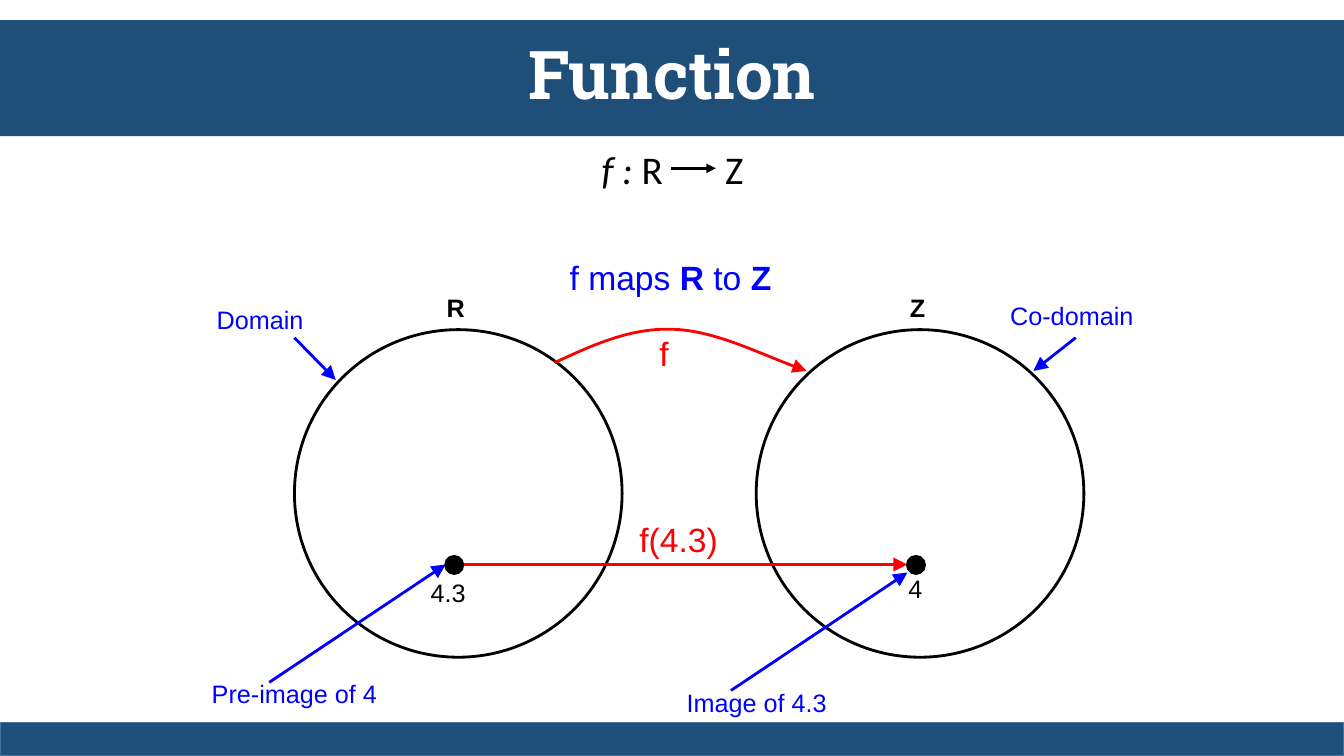
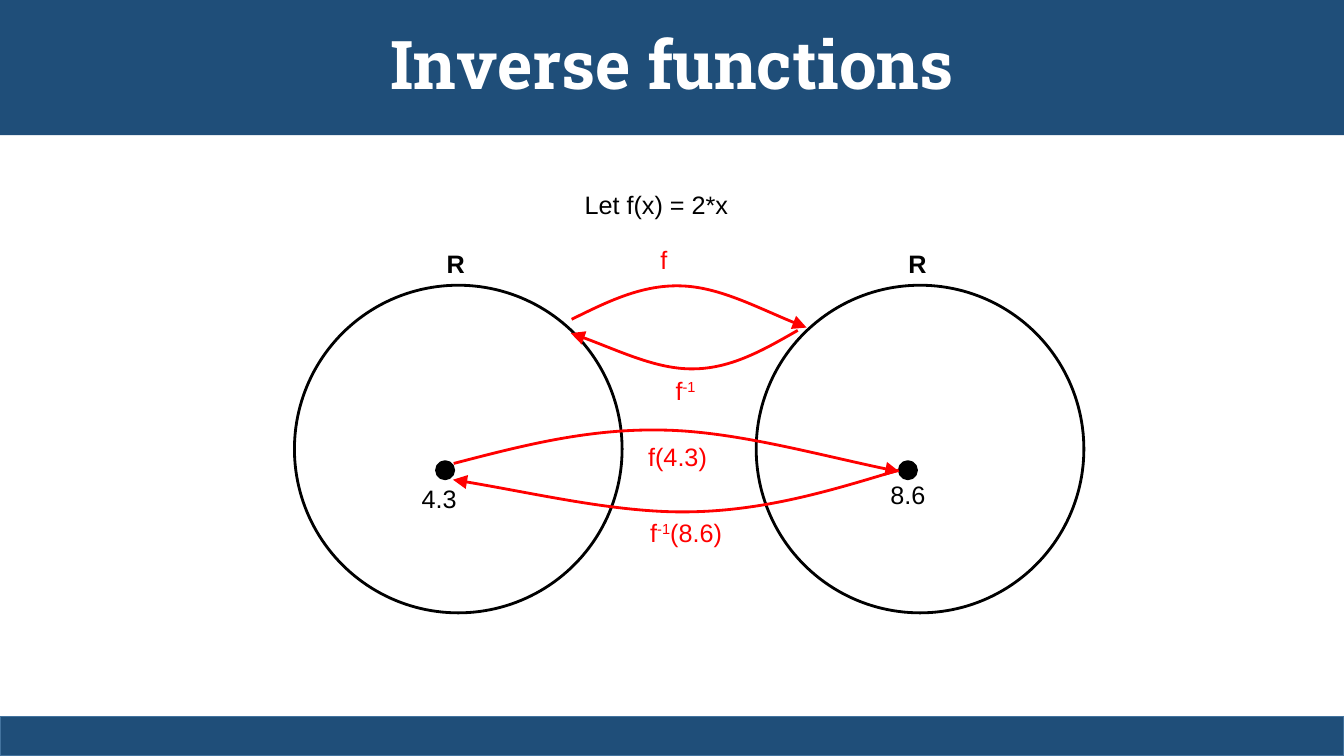
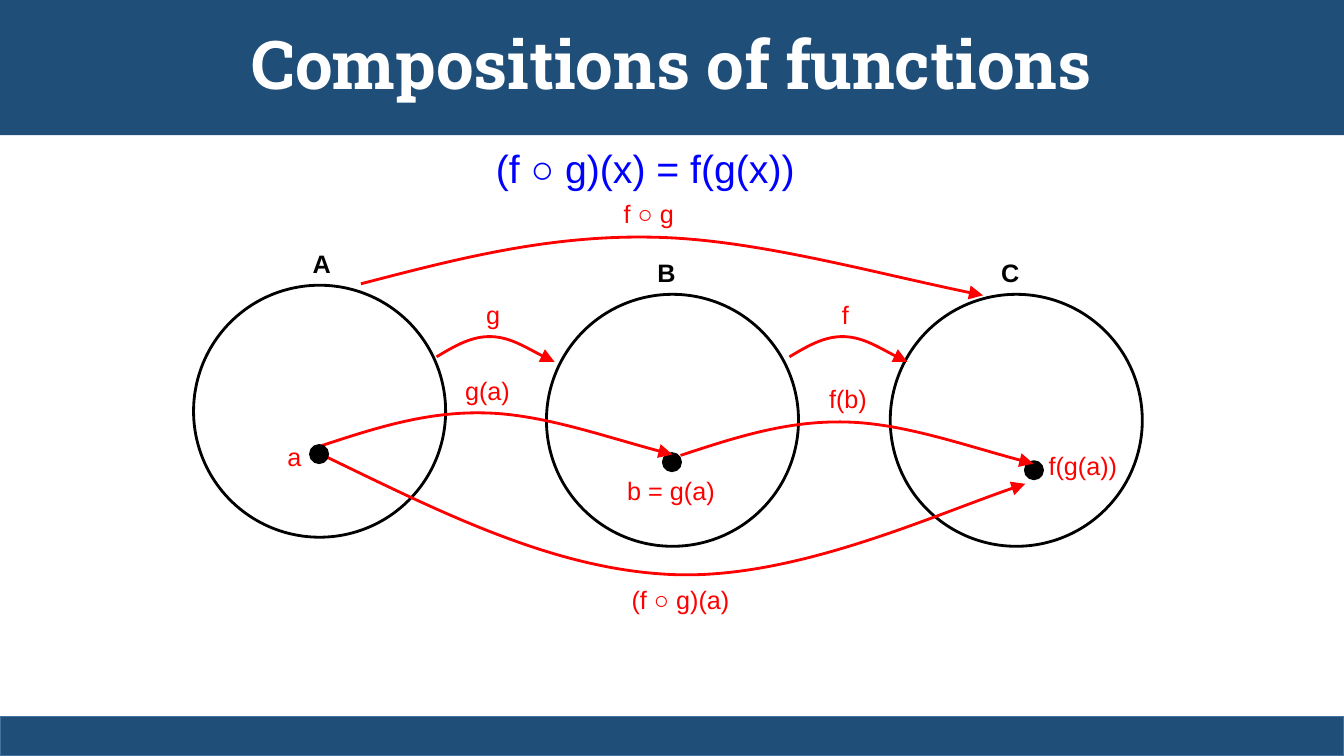
from dataclasses import dataclass

from lxml.etree import SubElement
from pptx import Presentation
from pptx.dml.color import RGBColor
from pptx.enum.shapes import MSO_CONNECTOR, MSO_SHAPE
from pptx.enum.text import MSO_ANCHOR, MSO_AUTO_SIZE, PP_ALIGN
from pptx.oxml.ns import qn
from pptx.util import Inches, Pt


@dataclass(frozen=True)
class Theme:
    band: RGBColor = RGBColor(0x1F, 0x4E, 0x79)
    band_edge: RGBColor = RGBColor(0x43, 0x73, 0x9E)
    white: RGBColor = RGBColor(0xFF, 0xFF, 0xFF)
    ink: RGBColor = RGBColor(0x00, 0x00, 0x00)
    mapping: RGBColor = RGBColor(0xFF, 0x00, 0x00)
    note: RGBColor = RGBColor(0x00, 0x00, 0xFF)
    title_font: str = "Roboto Slab"
    body_font: str = "Calibri"
    label_font: str = "Arial"
    title_size: int = 48
    formula_size: int = 28
    large_size: int = 24
    label_size: int = 18
    stroke: float = 2


THEME = Theme()
SLIDE_WIDTH, SLIDE_HEIGHT = 13.33, 7.5
DOT_SIZE = 0.17
TITLE_ONLY, TITLE_AND_BODY = 5, 1

# Curves as fractions of their box: a start, then two cubic segments.
ARC = [(0, 0.81), (0.15, 0.41), (0.3, 0), (0.47, 0.04),
       (0.63, 0.07), (0.83, 0.65), (1, 1)]
SWOOP = [(0, 0), (0.17, 0.46), (0.33, 0.92), (0.5, 0.96),
         (0.67, 1), (0.88, 0.46), (1, 0.24)]


def set_font(font, name, size, color, bold=False):
    font.name = name
    font.size = Pt(size)
    font.color.rgb = color
    font.bold = bold


def set_stroke(shape, color, width=THEME.stroke, head=None):
    """The head, if any, is the arrowhead size: med or lg."""
    shape.line.color.rgb = color
    shape.line.width = Pt(width)
    if head:
        outline = shape._element.spPr.find(qn("a:ln"))
        SubElement(outline, qn("a:tailEnd"), type="triangle", w=head, len=head)


def place(shape, left, top, width, height):
    shape.left, shape.top = Inches(left), Inches(top)
    shape.width, shape.height = Inches(width), Inches(height)


def add_arrow(slide, start, end, color, width=THEME.stroke, head="lg"):
    arrow = slide.shapes.add_connector(
        MSO_CONNECTOR.STRAIGHT, *(Inches(value) for value in (*start, *end)))
    set_stroke(arrow, color, width, head)
    SubElement(arrow._element.spPr, qn("a:effectLst"))


class Diagram:
    """Draws sets and mappings at offsets from its top left corner."""

    def __init__(self, slide, left, top):
        self.slide, self.left, self.top = slide, left, top

    def at(self, x, y):
        return self.left + x, self.top + y

    def ellipse(self, x, y, size):
        left, top = self.at(x, y)
        shape = self.slide.shapes.add_shape(
            MSO_SHAPE.OVAL, Inches(left), Inches(top), Inches(size), Inches(size))
        shape.shadow.inherit = False
        set_stroke(shape, THEME.ink)
        return shape

    def named_set(self, name, x, y, size, name_x):
        self.ellipse(x, y, size).fill.background()
        self.label([(name, "bold")], x + name_x, y - 0.42, 0.38, THEME.ink)

    def dot(self, x, y):
        fill = self.ellipse(x, y, DOT_SIZE).fill
        fill.solid()
        fill.fore_color.rgb = THEME.ink

    def label(self, text, x, y, width, color=THEME.mapping, size=THEME.label_size):
        """Text is a string or a list of (text, style) runs."""
        left, top = self.at(x, y)
        box = self.slide.shapes.add_textbox(
            Inches(left), Inches(top), Inches(width), Inches(size / 60 + 0.1))
        frame = box.text_frame
        frame.word_wrap = False
        frame.auto_size = MSO_AUTO_SIZE.SHAPE_TO_FIT_TEXT
        paragraph = frame.paragraphs[0]
        paragraph.alignment = PP_ALIGN.CENTER
        for part, style in [(text, "plain")] if isinstance(text, str) else text:
            run = paragraph.add_run()
            run.text = part
            set_font(run.font, THEME.label_font, size, color, style == "bold")
            if style == "super":
                run.font._element.set("baseline", "30000")

    def arrow(self, start, end, color):
        add_arrow(self.slide, self.at(*start), self.at(*end), color)

    def curve(self, x, y, width, height, outline=ARC, rotation=0):
        left, top = self.at(x, y)
        start, *others = [(Inches(left + u * width), Inches(top + v * height))
                          for u, v in outline]
        builder = self.slide.shapes.build_freeform(*start)
        builder.add_line_segments(others, close=False)
        shape = builder.convert_to_shape()
        make_cubic(shape)
        shape.rotation = rotation
        shape.shadow.inherit = False
        shape.fill.background()
        set_stroke(shape, THEME.mapping, head="lg")


def make_cubic(shape):
    """Turns each three straight segments into one cubic segment."""
    outline = next(shape._element.iter(qn("a:path")))
    segments = outline.findall(qn("a:lnTo"))
    for first in range(0, len(segments), 3):
        cubic = SubElement(outline, qn("a:cubicBezTo"))
        for segment in segments[first:first + 3]:
            cubic.append(segment[0])
            outline.remove(segment)


def add_framed_slide(deck, title, layout=TITLE_ONLY, band=(0, 1.34), footer_top=7.11):
    slide = deck.slides.add_slide(deck.slide_layouts[layout])
    heading = slide.shapes.title
    place(heading, 0, band[0], SLIDE_WIDTH, band[1])
    heading.fill.solid()
    heading.fill.fore_color.rgb = THEME.band
    frame = heading.text_frame
    frame.text = title
    frame.auto_size = MSO_AUTO_SIZE.NONE
    frame.vertical_anchor = MSO_ANCHOR.MIDDLE
    paragraph = frame.paragraphs[0]
    paragraph.alignment = PP_ALIGN.CENTER
    paragraph.line_spacing = 0.9
    set_font(paragraph.runs[0].font, THEME.title_font, THEME.title_size,
             THEME.white, bold=True)

    footer = slide.shapes.add_shape(
        MSO_SHAPE.RECTANGLE, 0, Inches(footer_top), Inches(SLIDE_WIDTH),
        Inches(SLIDE_HEIGHT - footer_top))
    footer.shadow.inherit = False
    footer.fill.solid()
    footer.fill.fore_color.rgb = THEME.band
    set_stroke(footer, THEME.band_edge, 1)
    return slide


def add_signature(slide, left, top, width, height):
    """Writes f : R and Z in the body, with an arrow in the gap between them."""
    body = slide.placeholders[1]
    place(body, left, top, width, height)
    frame = body.text_frame
    frame.auto_size = MSO_AUTO_SIZE.NONE
    frame.vertical_anchor = MSO_ANCHOR.TOP
    paragraph = frame.paragraphs[0]
    properties = paragraph._p.get_or_add_pPr()
    properties.set("marL", "0")
    properties.set("indent", "0")
    SubElement(properties, qn("a:buNone"))
    paragraph.alignment = PP_ALIGN.CENTER
    paragraph.line_spacing = 0.9
    paragraph.space_before = Pt(0)
    for text, italic, tracking in (("f : ", True, 0), ("R", False, 0),
                                   (" ", False, 38), ("Z", False, 0)):
        run = paragraph.add_run()
        run.text = text
        set_font(run.font, THEME.body_font, THEME.formula_size, THEME.ink)
        run.font.italic = italic
        if tracking:
            run.font._element.set("spc", str(tracking * 100))
    middle = left + width / 2
    add_arrow(slide, (middle - 0.01, top + 0.23), (middle + 0.43, top + 0.23),
              THEME.ink, 2.25, "med")


def add_two_sets(diagram, domain, codomain):
    for name, x in ((domain, 0), (codomain, 4.58)):
        diagram.named_set(name, x, 0, 3.25, 1.41)


def draw_function(diagram):
    add_two_sets(diagram, "R", "Z")
    diagram.curve(2.58, -0.02, 2.5, 0.43)
    diagram.arrow((1.66, 2.33), (6.08, 2.33), THEME.mapping)
    for x in (1.5, 6.08):
        diagram.dot(x, 2.25)
    diagram.label("4.3", 1.25, 2.41, 0.55, THEME.ink)
    diagram.label("4", 5.99, 2.37, 0.34, THEME.ink)
    for text, x, y, width, start, end in (
            ("Domain", -0.87, -0.3, 1.06, (0, 0.08), (0.41, 0.5)),
            ("Co-domain", 7, -0.34, 1.42, (7.75, 0.08), (7.33, 0.41)),
            ("Pre-image of 4", -0.92, 3.41, 1.84, (-0.25, 3.5), (1.5, 2.33)),
            ("Image of 4.3", 3.79, 3.5, 1.59, (4.33, 3.58), (6.08, 2.41))):
        diagram.arrow(start, end, THEME.note)
        diagram.label(text, x, y, width, THEME.note)
    diagram.label([("f maps ", "plain"), ("R", "bold"), (" to ", "plain"), ("Z", "bold")],
                  2.63, -0.77, 2.2, THEME.note, THEME.large_size)
    diagram.label("f", 3.52, -0.02, 0.29, size=THEME.large_size)
    diagram.label("f(4.3)", 3.32, 1.83, 0.98, size=THEME.large_size)


def draw_inverse(diagram):
    add_two_sets(diagram, "R", "R")
    for x in (1.41, 6):
        diagram.dot(x, 1.75)
    diagram.label("4.3", 1.16, 1.92, 0.55, THEME.ink)
    diagram.label("8.6", 5.81, 1.88, 0.55, THEME.ink)
    diagram.label("Let f(x) = 2*x", 2.76, -1, 1.66, THEME.ink)
    for x, y, width, rotation in ((2.75, -0.01, 2.33, 0), (2.75, 0.42, 2.25, 177.2),
                                  (1.58, 1.42, 4.42, 0), (1.58, 1.84, 4.42, 177.7)):
        diagram.curve(x, y, width, 0.43, rotation=rotation)
    inverse = [("f", "plain"), ("-1", "super")]
    diagram.label("f", 3.53, -0.46, 0.27)
    diagram.label(inverse, 3.67, 0.84, 0.42)
    diagram.label("f(4.3)", 3.39, 1.5, 0.82)
    diagram.label(inverse + [("(8.6)", "plain")], 3.42, 2.25, 0.93)


def draw_composition(diagram):
    for name, x, y, name_x in (("A", 0, 0, 1.08), ("B", 3.5, 0.09, 1),
                               ("C", 6.91, 0.09, 1)):
        diagram.named_set(name, x, y, 2.5, name_x)
    for x, y in ((4.66, 1.67), (8.25, 1.75)):
        diagram.dot(x, y)
    for box in ((2.41, 0.5, 1.17, 0.26), (5.91, 0.5, 1.17, 0.26),
                (1.25, 1.25, 3.5, 0.43), (4.83, 1.34, 3.5, 0.43),
                (1.66, -0.5, 6.17, 0.6)):
        diagram.curve(*box)
    diagram.curve(1.25, 1.67, 7, 1.25, SWOOP)
    diagram.dot(1.16, 1.59)
    for text, x, y, width in (
            ("f ○ g", 4.11, -0.91, 0.81), ("g", 2.8, 0.09, 0.34),
            ("f", 6.33, 0.09, 0.27), ("g(a)", 2.59, 0.84, 0.65),
            ("f(b)", 6.2, 0.92, 0.58), ("a", 0.83, 1.5, 0.34),
            ("b = g(a)", 4.2, 1.84, 1.07), ("f(g(a))", 8.38, 1.59, 0.88),
            ("(f ○ g)(a)", 4.19, 2.92, 1.28)):
        diagram.label(text, x, y, width)
    diagram.label("(f ○ g)(x) = f(g(x))", 2.8, -1.45, 3.36,
                  THEME.note, THEME.formula_size)


def main():
    deck = Presentation()
    deck.slide_width, deck.slide_height = Inches(SLIDE_WIDTH), Inches(SLIDE_HEIGHT)

    function = add_framed_slide(deck, "Function", TITLE_AND_BODY, (0.2, 1.15), 7.17)
    add_signature(function, 0.92, 1.44, 11.5, 5.32)
    draw_function(Diagram(function, 2.92, 3.27))

    inverse = add_framed_slide(deck, "Inverse functions")
    draw_inverse(Diagram(inverse, 2.92, 2.83))

    composition = add_framed_slide(deck, "Compositions of functions")
    draw_composition(Diagram(composition, 1.92, 2.83))

    deck.save("out.pptx")


if __name__ == "__main__":
    main()
